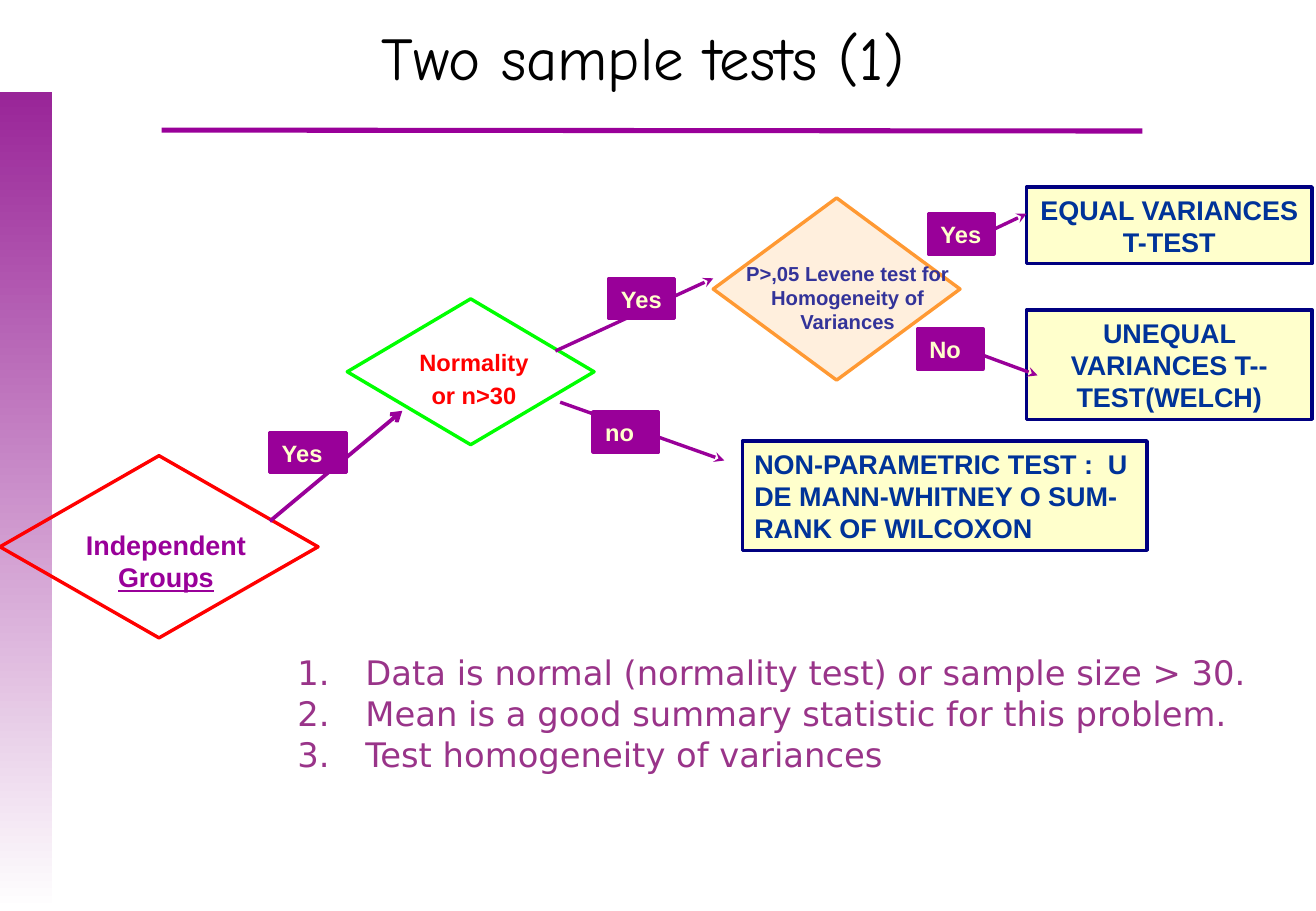
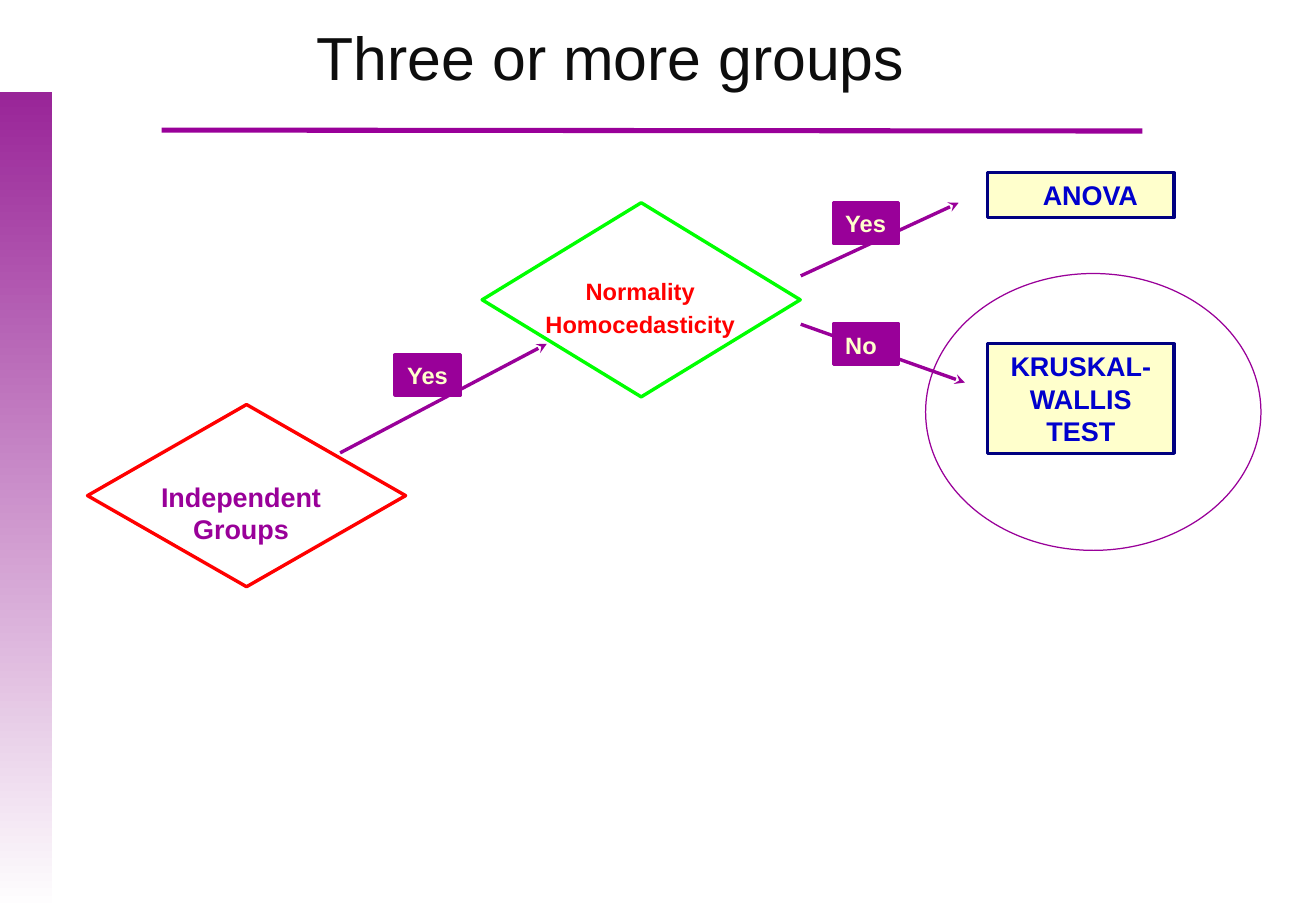
from dataclasses import dataclass

from lxml.etree import SubElement
from pptx import Presentation
from pptx.dml.color import RGBColor
from pptx.enum.shapes import MSO_CONNECTOR, MSO_SHAPE
from pptx.enum.text import MSO_ANCHOR, PP_ALIGN
from pptx.oxml.ns import qn
from pptx.util import Cm, Pt


@dataclass(frozen=True)
class Theme:
    purple: str = "990099"
    sidebar_top: str = "992598"
    white: str = "FFFFFF"
    cream: str = "FFFFCC"
    navy: str = "000080"
    red: str = "FF0000"
    green: str = "00FF00"
    orange: str = "FF9933"
    peach: str = "FFEFDD"
    indigo: str = "333399"
    plum: str = "993489"
    black: str = "000000"
    near_black: str = "0D0D0D"
    two_sample_blue: str = "003399"
    multi_group_blue: str = "0000CC"
    sans: str = "Arial"
    hand: str = "Comic Neue"
    list_font: str = "DejaVu Sans"
    title_size: int = 36
    list_size: int = 20
    result_size: int = 16
    tag_size: int = 14
    levene_size: int = 12
    outline: float = 2
    rule_width: float = 3
    thin: float = 0.75


THEME = Theme()
FRAME = {"word_wrap": True, "margin_left": Cm(0.25), "margin_right": Cm(0.25),
         "margin_top": Cm(0.13), "margin_bottom": Cm(0.13),
         "vertical_anchor": MSO_ANCHOR.TOP}


def assign(target, values):
    for name, value in values.items():
        setattr(target, name, value)


def text_style(size, color, name=THEME.sans, bold=True):
    return {"size": Pt(size), "name": name, "bold": bold}, color


def add_run(paragraph, text, style, **extra):
    values, color = style
    run = paragraph.add_run()
    run.text = text
    assign(run.font, {**values, **extra})
    run.font.color.rgb = RGBColor.from_string(color)


def write(frame, lines, style, align=PP_ALIGN.CENTER, gap=0, **frame_values):
    assign(frame, {**FRAME, **frame_values})
    for index, line in enumerate(lines):
        paragraph = frame.add_paragraph() if index else frame.paragraphs[0]
        paragraph.alignment = align
        if index and gap:
            paragraph.space_before = Pt(gap)
        add_run(paragraph, line, style)
    return frame.paragraphs


def add_outline(shapes, kind, box, line=None, fill=None, width=THEME.outline):
    shape = shapes.add_shape(kind, *map(Cm, box))
    shape.shadow.inherit = False
    if fill:
        shape.fill.solid()
        shape.fill.fore_color.rgb = RGBColor.from_string(fill)
    else:
        shape.fill.background()
    if line:
        shape.line.color.rgb = RGBColor.from_string(line)
        shape.line.width = Pt(width)
    else:
        shape.line.fill.background()
    return shape


def add_line(shapes, start, end, width=THEME.outline, head=None):
    line = shapes.add_connector(MSO_CONNECTOR.STRAIGHT, *map(Cm, start + end))
    line.line.color.rgb = RGBColor.from_string(THEME.purple)
    line.line.width = Pt(width)
    if head:
        SubElement(line.get_or_add_ln(), qn("a:tailEnd"), type=head)
    SubElement(line.element.spPr, qn("a:effectLst"))


def add_text(shapes, box, lines, style, **layout):
    return write(shapes.add_textbox(*map(Cm, box)).text_frame, lines, style, **layout)


def add_decision(slide, diamond, label, lines, style, line, fill=None, underlined=""):
    shapes = slide.shapes.add_group_shape().shapes
    add_outline(shapes, MSO_SHAPE.FLOWCHART_DECISION, diamond, line, fill)
    paragraphs = add_text(shapes, label, lines, style, gap=2.8)
    if underlined:
        add_run(paragraphs[-1], underlined, style, underline=True)


def add_branch(slide, answer, start, end, tag, tag_width=1.37,
               width=THEME.outline, head="stealth"):
    shapes = slide.shapes.add_group_shape().shapes
    add_line(shapes, start, end, width, head)
    box = add_outline(shapes, MSO_SHAPE.RECTANGLE, (*tag, tag_width, 0.84),
                      THEME.purple, THEME.purple)
    write(box.text_frame, [answer], text_style(THEME.tag_size, THEME.cream),
          align=PP_ALIGN.LEFT)


def add_result(slide, box, text, color, **layout):
    result = add_outline(slide.shapes, MSO_SHAPE.RECTANGLE, box, THEME.navy, THEME.cream)
    write(result.text_frame, [text], text_style(THEME.result_size, color), **layout)


def add_numbered_list(slide, box, items):
    style = text_style(THEME.list_size, THEME.plum, THEME.list_font, False)
    for paragraph in add_text(slide.shapes, box, items, style, align=PP_ALIGN.JUSTIFY):
        properties = paragraph._p.get_or_add_pPr()
        properties.set("marL", str(Cm(1.42)))
        properties.set("indent", str(-Cm(1.42)))
        color = SubElement(properties, qn("a:buClr"))
        SubElement(color, qn("a:srgbClr"), val=THEME.plum)
        SubElement(properties, qn("a:buFont"), typeface=THEME.list_font)
        SubElement(properties, qn("a:buAutoNum"), type="arabicPeriod")


def start_slide(deck, title, left, width, font, color):
    slide = deck.slides.add_slide(deck.slide_layouts[6])
    sidebar = add_outline(slide.shapes, MSO_SHAPE.RECTANGLE, (0, 1.93, 1.09, 17.12))
    sidebar.fill.gradient()
    sidebar.fill.gradient_angle = 270
    for stop, shade in zip(sidebar.fill.gradient_stops, (THEME.sidebar_top, THEME.white)):
        stop.color.rgb = RGBColor.from_string(shade)
    add_line(slide.shapes, (3.38, 2.72), (23.88, 2.74), THEME.rule_width)
    add_text(slide.shapes, (left, 0, width, 2.34), [title],
             text_style(THEME.title_size, color, font, False),
             vertical_anchor=MSO_ANCHOR.MIDDLE)
    return slide


def build_two_samples(deck, groups, normality):
    slide = start_slide(deck, "Two sample tests (1)", 1.75, 23.39, THEME.hand, THEME.black)
    add_numbered_list(slide, (5.97, 13.51, 20.6, 2.79), [
        "Data is normal (normality test) or sample size > 30.",
        "Mean is a good summary statistic for this problem.",
        "Test homogeneity of variances"])
    blue = THEME.two_sample_blue
    add_result(slide, (21.46, 3.91, 5.97, 1.6), "EQUAL VARIANCES T-TEST", blue)
    add_result(slide, (15.52, 9.22, 8.46, 2.29),
               "NON-PARAMETRIC TEST :  U DE MANN-WHITNEY O SUM-RANK OF WILCOXON",
               blue, align=PP_ALIGN.LEFT)
    add_decision(slide, (0, 9.53, 6.65, 3.81), (0.56, 10.92, 5.82, 1.6),
                 ["Independent "], groups, THEME.red, underlined="Groups")
    add_branch(slide, "Yes", (5.64, 10.9), (8.41, 8.59), (5.64, 9.04),
               tag_width=1.6, width=2.25, head="arrow")
    add_decision(slide, (7.26, 6.25, 5.16, 3.05), (7.52, 7.14, 4.78, 1.52),
                 ["Normality", "or n>30"], normality, THEME.green)
    add_branch(slide, "Yes", (11.61, 7.34), (14.91, 5.82), (12.73, 5.82))
    add_branch(slide, "no", (11.71, 8.41), (15.14, 9.63), (12.4, 8.61))
    add_decision(slide, (14.91, 4.14, 5.16, 3.81), (15.04, 5.33, 5.36, 3.05),
                 ["P>,05 Levene test for Homogeneity of Variances"],
                 text_style(THEME.levene_size, THEME.indigo), THEME.orange, THEME.peach)
    add_result(slide, (21.46, 6.48, 5.97, 2.29), "UNEQUAL VARIANCES T--TEST(WELCH)", blue)
    add_branch(slide, "Yes", (19.86, 5.23), (21.46, 4.47), (19.41, 4.47))
    add_branch(slide, "No", (19.63, 7.09), (21.69, 7.85), (19.18, 6.88))


def build_three_groups(deck, groups, normality):
    slide = start_slide(deck, "Three or more groups", 4.37, 16.79,
                        THEME.sans, THEME.near_black)
    blue = THEME.multi_group_blue
    add_result(slide, (20.65, 3.61, 3.89, 0.94), "ANOVA", blue, margin_left=Cm(0.65))
    add_result(slide, (20.65, 7.19, 3.89, 2.29), "KRUSKAL- WALLIS TEST", blue)
    add_decision(slide, (1.83, 8.46, 6.65, 3.81), (2.13, 9.91, 5.82, 1.6),
                 ["Independent Groups"], groups, THEME.red)
    add_branch(slide, "Yes", (7.11, 9.47), (11.43, 7.19), (8.26, 7.42))
    add_decision(slide, (10.08, 4.24, 6.65, 4.06), (10.31, 5.66, 6.15, 1.52),
                 ["Normality", "Homocedasticity"], normality, THEME.green)
    add_branch(slide, "Yes", (16.74, 5.77), (20.04, 4.24), (17.42, 4.24))
    add_branch(slide, "No", (16.74, 6.78), (20.17, 8), (17.42, 6.78))
    add_outline(slide.shapes, MSO_SHAPE.OVAL, (19.35, 5.72, 7.01, 5.79),
                THEME.purple, width=THEME.thin)


def main():
    deck = Presentation()
    assign(deck, {"slide_width": Cm(27.51), "slide_height": Cm(19.05)})
    groups = text_style(THEME.result_size, THEME.purple)
    normality = text_style(THEME.tag_size, THEME.red)
    build_two_samples(deck, groups, normality)
    build_three_groups(deck, groups, normality)
    deck.save("out.pptx")


if __name__ == "__main__":
    main()
